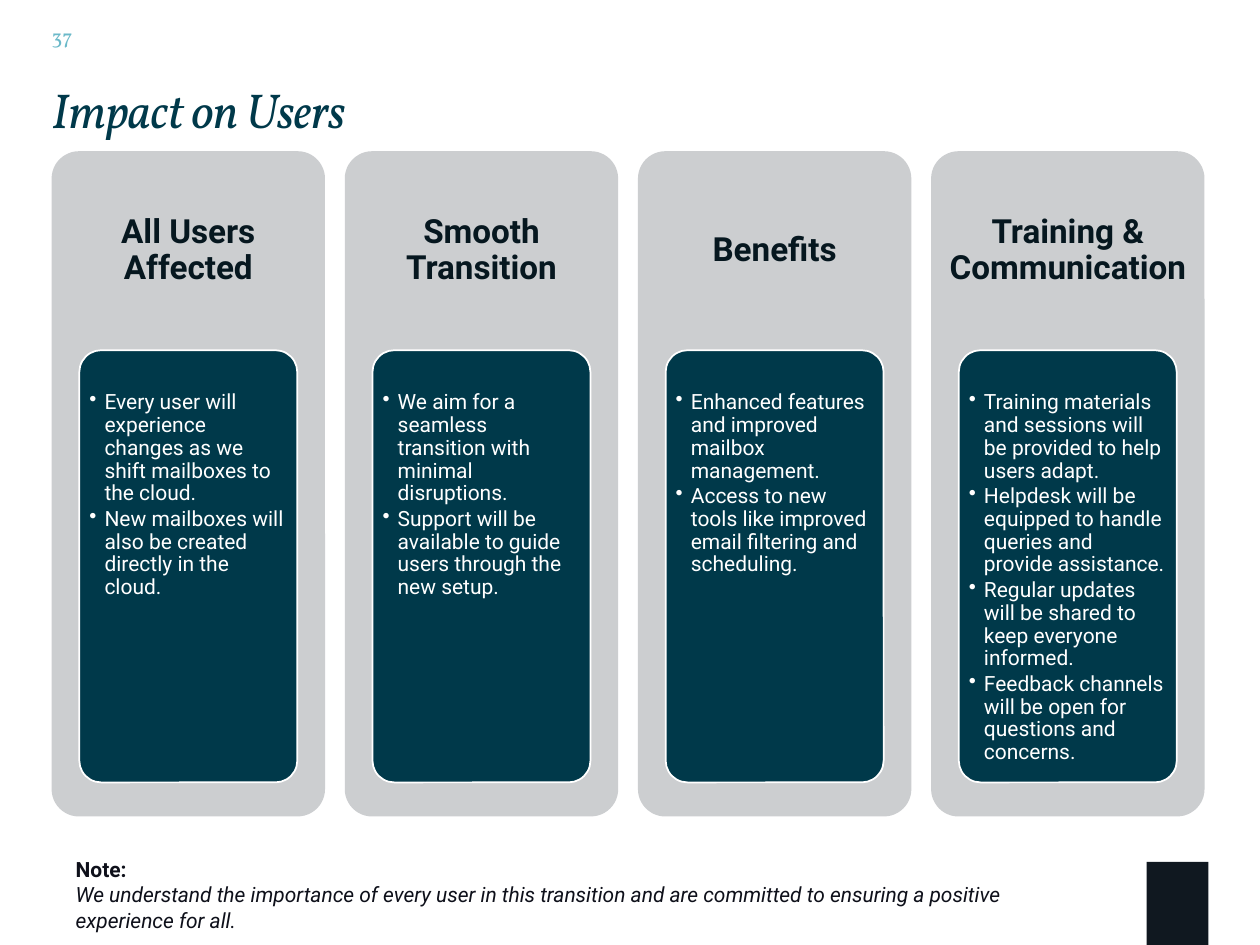
from lxml.etree import SubElement
from pptx import Presentation
from pptx.dml.color import RGBColor
from pptx.enum.shapes import MSO_SHAPE
from pptx.enum.text import MSO_ANCHOR, PP_ALIGN
from pptx.oxml.ns import qn
from pptx.util import Inches, Pt

COLORS = {
    "number": "6BB9C9",
    "teal": "00394A",
    "panel": "CCCED0",
    "heading": "06171F",
    "note": "0E101A",
    "mark": "101820",
    "white": "FFFFFF",
}

COLUMNS = [
    ("All Users Affected", [
        "Every user will experience changes as we shift mailboxes to the cloud.",
        "New mailboxes will also be created directly in the cloud.",
    ]),
    ("Smooth Transition", [
        "We aim for a seamless transition with minimal disruptions.",
        "Support will be available to guide users through the new setup.",
    ]),
    ("Benefits", [
        "Enhanced features and improved mailbox management.",
        "Access to new tools like improved email filtering and scheduling.",
    ]),
    ("Training & Communication", [
        "Training materials and sessions will be provided to help users adapt.",
        "Helpdesk will be equipped to handle queries and provide assistance.",
        "Regular updates will be shared to keep everyone informed.",
        "Feedback channels will be open for questions and concerns.",
    ]),
]

deck = Presentation()
deck.slide_width, deck.slide_height = Inches(10), Inches(7.5)
page = deck.slides.add_slide(deck.slide_layouts[6])


def add_block(kind, left, top, width, height, fill):
    block = page.shapes.add_shape(
        kind, Inches(left), Inches(top), Inches(width), Inches(height))
    block.shadow.inherit = False
    block.fill.solid()
    block.fill.fore_color.rgb = RGBColor.from_string(COLORS[fill])
    block.line.fill.background()
    return block


def add_text(left, top, width, height, lines, size, color, font="Roboto",
             bold=False, italic=False, inset=0, wrap=True):
    box = page.shapes.add_textbox(
        Inches(left), Inches(top), Inches(width), Inches(height))
    frame = box.text_frame
    frame.word_wrap = wrap
    frame.margin_left = frame.margin_right = Inches(inset)
    frame.margin_top = frame.margin_bottom = Inches(inset)
    for index, line in enumerate(lines):
        para = frame.add_paragraph() if index else frame.paragraphs[0]
        span = para.add_run()
        span.text = line
        span.font.name = font
        span.font.size = Pt(size)
        span.font.bold = bold
        span.font.italic = italic
        span.font.color.rgb = RGBColor.from_string(COLORS[color])
    return frame


number = add_text(0.34, 0.09, 0.6, 0.4, ["37"], 12, "number", "Vollkorn", inset=0.07)
number.vertical_anchor = MSO_ANCHOR.MIDDLE

add_block(MSO_SHAPE.RECTANGLE, 9.1, 6.84, 0.49, 0.66, "mark")

title = add_text(0.41, 0.7, 2.67, 0.41, ["Impact on Users"], 28, "teal",
                 "Vollkorn", italic=True, wrap=False)
title.paragraphs[0].line_spacing = 0.86
title.paragraphs[0].runs[0].font._element.set("spc", "-30")

note = add_text(0.6, 6.8, 8.09, 0.61, [
    "Note:",
    "We understand the importance of every user in this transition and are "
    "committed to ensuring a positive experience for all.",
], 12, "note")
note.paragraphs[0].runs[0].font.bold = True
note.paragraphs[1].runs[0].font.italic = True

first_left, last_left = 0.41, 7.39
pitch = (last_left - first_left) / (len(COLUMNS) - 1)

for column, (heading, points) in enumerate(COLUMNS):
    left = first_left + column * pitch
    panel = add_block(MSO_SHAPE.ROUNDED_RECTANGLE, left, 1.2, 2.17, 5.28, "panel")
    panel.adjustments[0] = 0.1

    header = add_text(left, 1.2, 2.17, 1.58, [heading], 19, "heading",
                      bold=True, inset=0.08)
    header.vertical_anchor = MSO_ANCHOR.MIDDLE
    header.paragraphs[0].alignment = PP_ALIGN.CENTER
    header.paragraphs[0].line_spacing = 0.9

    card = add_block(MSO_SHAPE.ROUNDED_RECTANGLE, left + 0.22, 2.78, 1.73, 3.43, "teal")
    card.adjustments[0] = 0.1
    card.line.color.rgb = RGBColor.from_string(COLORS["white"])
    card.line.width = Pt(1)

    details = add_text(left + 0.27, 3.08, 1.63, 3.09, points, 12, "white", inset=0.03)
    for para in details.paragraphs:
        properties = para._p.get_or_add_pPr()
        properties.set("marL", str(Inches(0.12)))
        properties.set("indent", str(-Inches(0.12)))
        SubElement(properties, qn("a:buChar")).set("char", "•")
        para.line_spacing = 0.9
        para.space_after = Pt(1.8)

deck.save("out.pptx")
